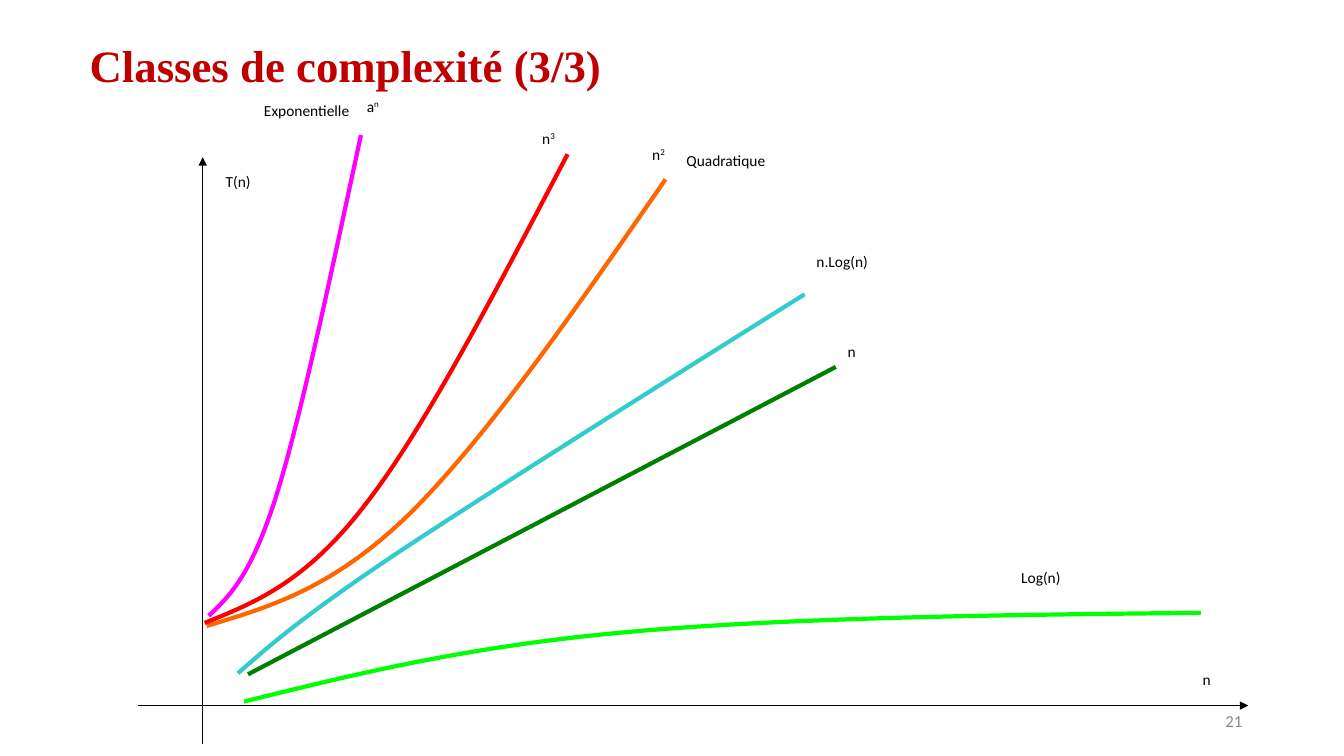
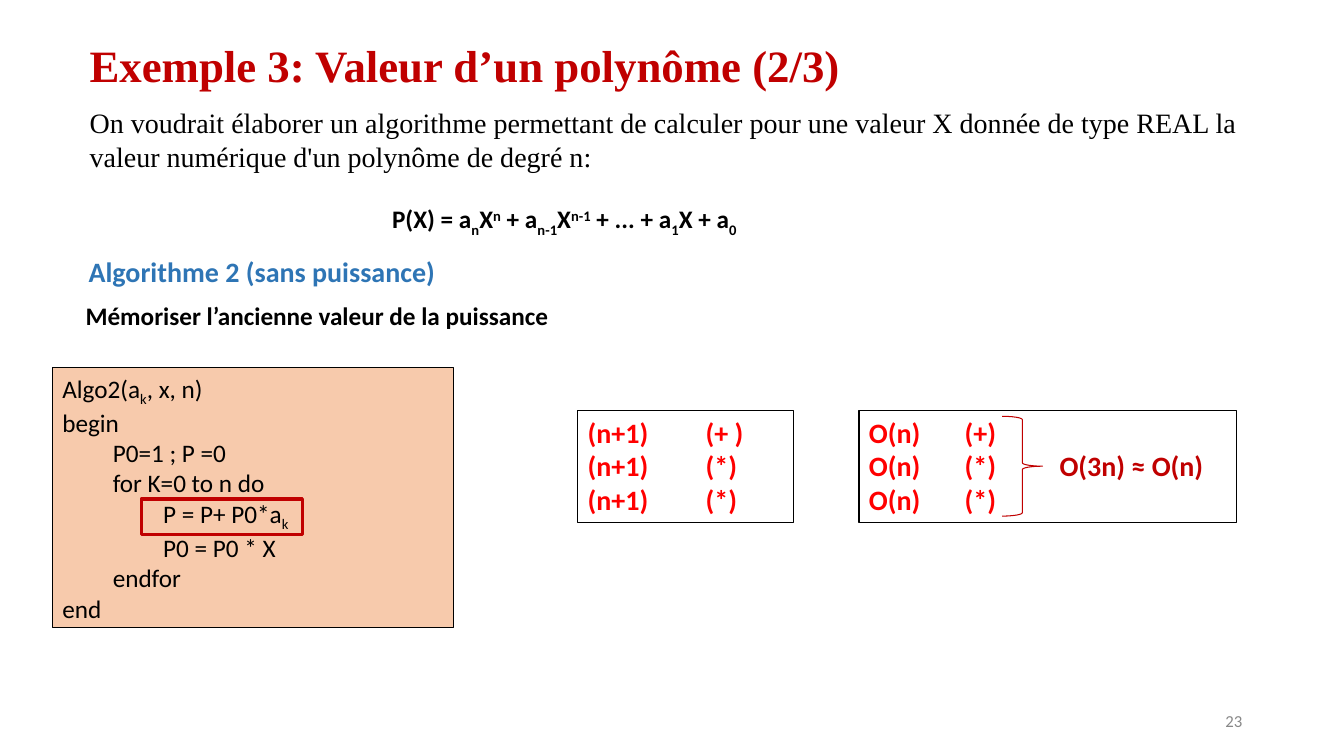
from dataclasses import dataclass

import pptx
import pptx.dml.color
import pptx.enum.shapes
import pptx.enum.text
import pptx.oxml
import pptx.oxml.ns
import pptx.util
from pptx.util import Inches

SHAPE = pptx.enum.shapes.MSO_SHAPE
ANCHOR = pptx.enum.text.MSO_ANCHOR
ALIGN = pptx.enum.text.PP_ALIGN
qn = pptx.oxml.ns.qn
SUB, SUP = -25000, 30000


@dataclass(frozen=True)
class Style:
    font: str
    size: int
    color: str
    bold: bool = False


class Theme:
    black, red, peach = "000000", "C00000", "F7CAAC"
    lime, green, orange = "00FF00", "008000", "FF6600"
    teal, bright_red, magenta = "33CCCC", "FF0000", "FF00FF"
    thin, medium, thick = 0.75, 2.25, 3
    title = Style("Times New Roman", 32, red, True)
    body = Style("Times New Roman", 20, black)
    number = Style("Calibri", 12, "888888")
    label = Style("Calibri", 11, black)
    code = Style("Calibri", 18, black)
    strong = Style("Calibri", 18, black, True)
    heading = Style("Calibri", 20, "2E75B5", True)
    cost = Style("Calibri", 20, bright_red, True)
    total = Style("Calibri", 20, red, True)


@dataclass(frozen=True)
class Box:
    left: float
    top: float
    width: float
    height: float

    def inner(self, dx, dy, width, height):
        return Box(self.left + dx, self.top + dy, width, height)

    def lengths(self):
        return [Inches(v) for v in (self.left, self.top, self.width, self.height)]


@dataclass(frozen=True)
class Line:
    """A paragraph: plain strings, or (text, baseline) pairs."""
    runs: tuple
    style: Style
    indent: float = 0
    before: float = 0
    tab: float = 0
    align: ALIGN = ALIGN.LEFT


def rgb(value):
    return pptx.dml.color.RGBColor.from_string(value)


# Shared drawing helpers
def write(shape, lines, anchor=ANCHOR.TOP):
    frame = shape.text_frame
    frame.word_wrap = True
    frame.vertical_anchor = anchor
    for index, line in enumerate(lines):
        paragraph = frame.paragraphs[0] if index == 0 else frame.add_paragraph()
        paragraph.alignment = line.align
        if line.before:
            paragraph.space_before = pptx.util.Pt(line.before)
        properties = paragraph._p.get_or_add_pPr()
        if line.indent:
            properties.set("marL", str(Inches(line.indent)))
            properties.set("indent", "0")
        if line.tab:
            stop = properties.makeelement(qn("a:tab"), {"pos": str(Inches(line.tab)), "algn": "l"})
            tab_list = properties.makeelement(qn("a:tabLst"), {})
            tab_list.append(stop)
            properties.append(tab_list)
        font = paragraph.font
        font.name, font.size = line.style.font, pptx.util.Pt(line.style.size)
        font.bold, font.color.rgb = line.style.bold, rgb(line.style.color)
        for part in line.runs:
            text, baseline = (part, 0) if isinstance(part, str) else part
            run = paragraph.add_run()
            run.text = text
            if baseline:
                run._r.get_or_add_rPr().set("baseline", str(baseline))


def add_text(shapes, box, lines, anchor=ANCHOR.TOP):
    write(shapes.add_textbox(*box.lengths()), lines, anchor)


def outline(shape, color, width):
    shape.line.color.rgb = rgb(color)
    shape.line.width = pptx.util.Pt(width)


def add_frame(shapes, box, color, width, fill=None, lines=(), kind=SHAPE.RECTANGLE):
    frame = shapes.add_shape(kind, *box.lengths())
    frame.shadow.inherit = False
    if fill:
        frame.fill.solid()
        frame.fill.fore_color.rgb = rgb(fill)
    else:
        frame.fill.background()
    outline(frame, color, width)
    if lines:
        write(frame, lines)


def add_line(shapes, start, end, color, width, arrow=False):
    line = shapes.add_connector(pptx.enum.shapes.MSO_CONNECTOR.STRAIGHT, *start, *end)
    outline(line, color, width)
    if arrow:
        stroke = line.line._get_or_add_ln()
        stroke.append(stroke.makeelement(qn("a:tailEnd"), {"type": "triangle"}))
    properties = line._element.spPr
    properties.append(properties.makeelement(qn("a:effectLst"), {}))


def add_curve(shapes, points, color, width):
    """Start point, then three Bézier points for each segment."""
    builder = shapes.build_freeform(*points[0])
    builder.add_line_segments(points[1:], close=False)
    curve = builder.convert_to_shape()
    steps = list(curve._element.iter(qn("a:lnTo")))
    for first in range(0, len(steps), 3):
        segment = steps[first].makeelement(qn("a:cubicBezTo"), {})
        steps[first].addprevious(segment)
        for step in steps[first:first + 3]:
            segment.append(step[0])
            step.getparent().remove(step)
    curve.shadow.inherit = False
    curve.fill.background()
    outline(curve, color, width)


def new_slide(deck, title, number):
    slide = deck.slides.add_slide(deck.slide_layouts[6])
    add_text(slide.shapes, Box(0.79, 0.32, 10.51, 0.68), [Line((title,), Theme.title)])
    add_text(slide.shapes, Box(9.42, 6.95, 3, 0.4),
             [Line((number,), Theme.number, align=ALIGN.RIGHT)], ANCHOR.MIDDLE)
    return slide


# Growth curves: distances right of and above the axis crossing
CURVES = [
    (Theme.lime, [(0.41, 0.04), (1.47, 0.3), (2.53, 0.57), (4.11, 0.72),
                  (5.69, 0.87), (7.8, 0.9), (9.9, 0.92)]),
    (Theme.orange, [(0.04, 0.79), (0.67, 0.98), (1.29, 1.16), (2.05, 1.9),
                    (2.8, 2.64), (3.7, 3.93), (4.59, 5.22)]),
    (Theme.teal, [(0.35, 0.32), (0.68, 0.61), (1, 0.89), (1.94, 1.52),
                  (2.88, 2.14), (4.42, 3.11), (5.97, 4.08)]),
    (Theme.bright_red, [(0.02, 0.82), (0.51, 1.02), (1.01, 1.21), (1.61, 1.99),
                        (2.21, 2.76), (2.91, 4.12), (3.62, 5.47)]),
    (Theme.magenta, [(0.06, 0.89), (0.27, 1.09), (0.48, 1.29), (0.73, 2.08),
                     (0.98, 2.88), (1.27, 4.27), (1.57, 5.66)]),
]
CURVE_LABELS = [
    (9.82, 0.4, ("n",)),
    (0.13, 5.34, ("T(n)",)),
    (8.02, 1.41, ("Log(n)",)),
    (5.99, 4.55, ("n.Log(n)",)),
    (6.3, 3.66, ("n",)),
    (4.36, 5.61, ("n", ("2", SUP))),
    (3.27, 5.77, ("n", ("3", SUP))),
    (1.53, 6.09, ("a", ("n", SUP))),
    (4.7, 5.55, ("Quadratique",)),
    (0.51, 6.05, ("Exponentielle",)),
]


def growth_graph(slide, box):
    shapes = slide.shapes.add_group_shape().shapes
    before_axis, below_axis = 0.64, 0.38
    origin_x = box.left + before_axis
    origin_y = box.top + box.height - below_axis

    def at(right, up):
        return Inches(origin_x + right), Inches(origin_y - up)

    # Axes
    for start, end in [((0, -below_axis), (0, 5.44)), ((-before_axis, 0), (10.37, 0))]:
        add_line(shapes, at(*start), at(*end), Theme.black, Theme.thin, arrow=True)
    # Curves and the linear case
    for color, points in CURVES:
        add_curve(shapes, [at(*point) for point in points], color, Theme.thick)
    add_line(shapes, at(0.45, 0.31), at(6.28, 3.36), Theme.green, Theme.thick)
    # Labels
    for right, up, runs in CURVE_LABELS:
        add_text(shapes, Box(origin_x + right, origin_y - up, 1.3, 0.5),
                 [Line(runs, Theme.label)])


# Polynomial regions
def problem_statement(slide, box):
    formula = ("P(X) = a", ("n", SUB), "X", ("n", SUP), " + a", ("n-1", SUB), "X",
               ("n-1", SUP), " + ... + a", ("1", SUB), "X + a", ("0", SUB))
    add_text(slide.shapes, box.inner(0, 0, box.width, 1.4), [
        Line(("On voudrait élaborer un algorithme permettant de calculer pour une valeur X "
              "donnée de type REAL la valeur numérique d'un polynôme de degré n:",), Theme.body),
        Line(formula, Theme.strong, indent=3, before=22),
    ])
    add_text(slide.shapes, box.inner(-0.01, 1.48, 3.8, 0.44),
             [Line(("Algorithme 2 (sans puissance)",), Theme.heading)])
    add_text(slide.shapes, box.inner(-0.04, 1.93, 5.25, 0.4),
             [Line(("Mémoriser l’ancienne valeur de la puissance",), Theme.strong)])


def pseudocode(slide, box):
    steps = [
        (0, ("Algo2(a", ("k", SUB), ", x, n)")),
        (0, ("begin",)),
        (1, ("P0=1 ; P =0",)),
        (1, ("for K=0 to n do",)),
        (2, ("P = P+ P0*a", ("k", SUB))),
        (2, ("P0 = P0 * X",)),
        (1, ("endfor",)),
        (0, ("end",)),
    ]
    lines = [Line(runs, Theme.code, indent=level * 0.5) for level, runs in steps]
    add_frame(slide.shapes, box, Theme.black, Theme.thin, Theme.peach, lines)
    # Highlight around the accumulation step
    add_frame(slide.shapes, box.inner(0.88, 1.3, 1.6, 0.35), Theme.red, Theme.medium)


def operation_costs(slide, box):
    # Exact counts, then orders of growth
    for dx, width, tab, count, operators in [
        (0, 2.14, 1.17, "(n+1)", ("(+ )", "(*)", "(*)")),
        (2.79, 3.74, 0.95, "O(n)", ("(+)", "(*)", "(*)")),
    ]:
        lines = [Line((f"{count}\t{operator}",), Theme.cost, tab=tab) for operator in operators]
        add_frame(slide.shapes, box.inner(dx, 0, width, box.height),
                  Theme.black, Theme.thin, lines=lines)
    # Total
    add_frame(slide.shapes, box.inner(4.21, 0.06, 0.4, 0.99), Theme.red, Theme.thin,
              kind=SHAPE.RIGHT_BRACE)
    add_text(slide.shapes, box.inner(4.68, 0.33, 1.85, 0.44),
             [Line(("O(3n) ≈ O(n)",), Theme.total)])


def main():
    deck = pptx.Presentation()
    deck.slide_width, deck.slide_height = Inches(13.33), Inches(7.5)

    classes = new_slide(deck, "Classes de complexité (3/3)", "21")
    growth_graph(classes, Box(1.37, 0.91, 11.1, 6.47))

    polynomial = new_slide(deck, "Exemple 3: Valeur d’un polynôme (2/3)", "23")
    problem_statement(polynomial, Box(0.79, 1, 12.02, 2.33))
    pseudocode(polynomial, Box(0.52, 3.65, 3.98, 2.58))
    operation_costs(polynomial, Box(5.73, 4.07, 6.53, 1.11))

    deck.save("out.pptx")


if __name__ == "__main__":
    main()
